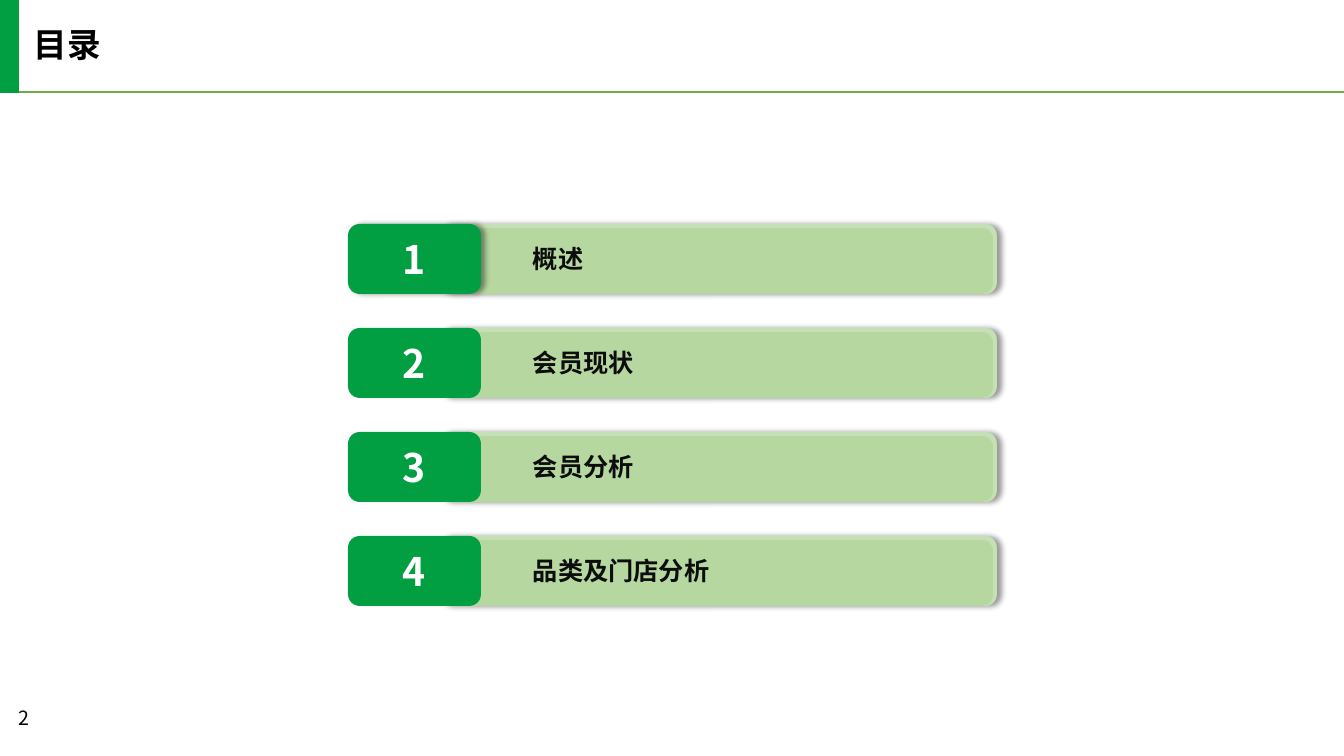
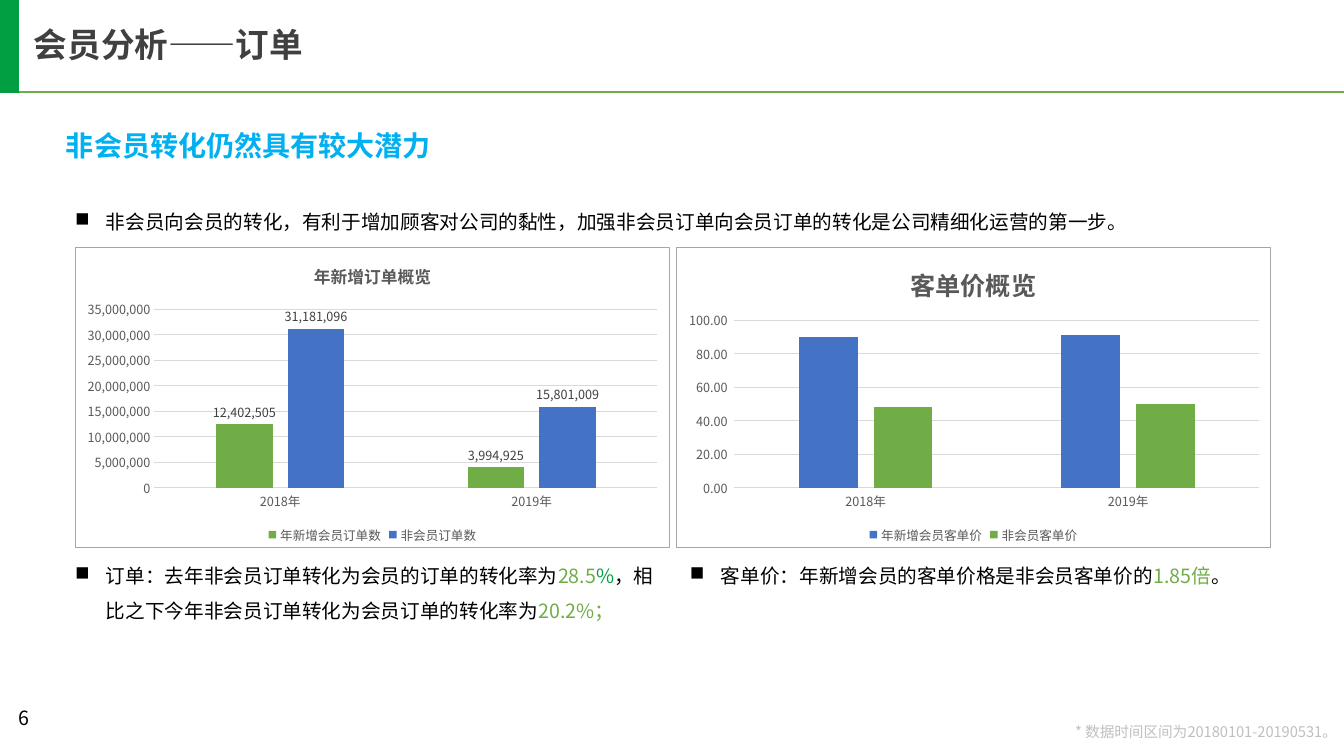
from lxml import etree
from pptx import Presentation, util as u
from pptx.chart import data as cd
from pptx.dml.color import RGBColor
from pptx.enum import chart as ce, shapes, text
from pptx.oxml import parse_xml
from pptx.oxml.ns import nsdecls, qn

PX = 914400 / 100.8
FONT = "Noto Sans CJK SC"
HUES = {
    "black": "000000", "ink": "0D0D0D", "dark": "404040", "gray": "595959",
    "edge": "A6A6A6", "note": "BFBFBF", "grid": "D9D9D9", "white": "FFFFFF",
    "brand": "029E42", "green": "70AD47", "pale": "C5E0B4", "leaf": "A9D18E",
    "sky": "00B0F0", "blue": "4472C4",
}
ROUND = shapes.MSO_SHAPE.ROUNDED_RECTANGLE
ALIGN = text.PP_ALIGN
MID = text.MSO_ANCHOR.MIDDLE


def px(n):
    return u.Emu(round(n * PX))


def rgb(hue):
    return RGBColor.from_string(HUES[hue])


def style(font, size, hue, bold=False):
    font.name = FONT
    font.size = u.Pt(size)
    font.bold = bold
    font.color.rgb = rgb(hue)


def paint(fill, hue):
    fill.solid()
    fill.fore_color.rgb = rgb(hue)


def asian(root):
    for latin in list(root.iter(qn("a:latin"))):
        face = etree.Element(qn("a:ea"), typeface=FONT)
        latin.addnext(face)


def write(frame, parts, size, bold=False, align=ALIGN.LEFT, space=None):
    para = frame.paragraphs[0]
    para.alignment = align
    if space:
        para.line_spacing = space
    for words, hue in parts:
        run = para.add_run()
        run.text = words
        style(run.font, size, hue, bold)
    asian(frame._txBody)
    return para


def label(page, box, parts, size, bold=False, align=ALIGN.LEFT, space=None,
          anchor=text.MSO_ANCHOR.TOP, wrap=True, pad=(0, 0)):
    frame = page.shapes.add_textbox(*map(px, box)).text_frame
    frame.word_wrap = wrap
    frame.vertical_anchor = anchor
    frame.margin_left = frame.margin_right = px(pad[0])
    frame.margin_top = frame.margin_bottom = px(pad[1])
    return write(frame, parts, size, bold, align, space)


def bullet(page, box, parts):
    para = label(page, box, parts, 14, space=1.5)
    props = para._p.get_or_add_pPr()
    props.set("marL", str(px(31)))
    props.set("indent", str(-px(31)))
    etree.SubElement(props, qn("a:buChar"), char="■")


def block(page, kind, box, hue, alpha=None, shade=False):
    shape = page.shapes.add_shape(kind, *map(px, box))
    shape.line.fill.background()
    paint(shape.fill, hue)
    shape.shadow.inherit = False
    props = shape.element.spPr
    if alpha:
        color = props.find(".//" + qn("a:srgbClr"))
        etree.SubElement(color, qn("a:alpha"), val=str(alpha * 1000))
    if shade:
        props.find(qn("a:effectLst")).append(parse_xml(
            f'<a:outerShdw {nsdecls("a")} blurRad="{u.Pt(4)}" dist="{u.Pt(3)}" '
            'dir="0" algn="l" rotWithShape="0"><a:srgbClr val="000000">'
            '<a:alpha val="40000"/></a:srgbClr></a:outerShdw>'))
    return shape


def base(deck, title, hue, number):
    page = deck.slides.add_slide(deck.slide_layouts[6])
    rule = page.shapes.add_connector(
        shapes.MSO_CONNECTOR.STRAIGHT, 0, px(92), px(1344), px(92))
    rule.line.color.rgb = rgb("green")
    rule.line.width = u.Pt(1.5)
    etree.SubElement(rule.element.spPr, qn("a:effectLst"))
    block(page, shapes.MSO_SHAPE.RECTANGLE, (0, -1, 19, 94), "brand")
    label(page, (34, 28, 634, 36), [(title, hue)], 24, True, space=0.9)
    label(page, (9, 701, 92, 40), [(str(number), "black")], 14, pad=(10, 5))
    return page


def entry(page, index, name):
    top = 224 + 104 * index
    block(page, ROUND, (438, top, 559, 70), "pale", shade=True)
    block(page, ROUND, (433, top + 4, 560, 66), "leaf", alpha=50)
    badge = block(page, ROUND, (348, top, 133, 70), "brand", shade=index == 0)
    badge.text_frame.vertical_anchor = MID
    write(badge.text_frame, [(str(index + 1), "white")], 28, True, ALIGN.CENTER)
    label(page, (533, top + 18, 275, 36), [(name, "ink")], 18, True,
          space=0.9, anchor=MID)


def place(chart, box, plot):
    area = chart.element.find(".//" + qn("c:plotArea"))
    for old in area.findall(qn("c:layout")):
        area.remove(old)
    left, top, wide, high = box
    rates = {"x": (plot[0] - left) / wide, "y": (plot[1] - top) / high,
             "w": plot[2] / wide, "h": plot[3] / high}
    sizes = "".join(f'<c:{key} val="{rate:.4f}"/>' for key, rate in rates.items())
    area.insert(0, parse_xml(
        f'<c:layout {nsdecls("c")}><c:manualLayout><c:layoutTarget val="inner"/>'
        f'<c:xMode val="edge"/><c:yMode val="edge"/>{sizes}'
        '</c:manualLayout></c:layout>'))


def border(chart):
    chart.element.find(qn("c:chart")).addnext(parse_xml(
        f'<c:spPr {nsdecls("c", "a")}><a:solidFill><a:srgbClr val="{HUES["white"]}"/>'
        f'</a:solidFill><a:ln w="{u.Pt(0.75)}"><a:solidFill>'
        f'<a:srgbClr val="{HUES["edge"]}"/></a:solidFill></a:ln></c:spPr>'))


def columns(page, box, plot, title, size, rows, top, step, form, marks=False):
    data = cd.CategoryChartData()
    data.categories = ["2018年", "2019年"]
    for name, values, _ in rows:
        data.add_series(name, values)
    chart = page.shapes.add_chart(
        ce.XL_CHART_TYPE.COLUMN_CLUSTERED, *map(px, box), data).chart
    style(chart.font, 10, "black")
    chart.has_title = True
    head = chart.chart_title.text_frame
    head.text = title
    style(head.paragraphs[0].runs[0].font, size, "gray", True)
    chart.has_legend = True
    chart.legend.position = ce.XL_LEGEND_POSITION.BOTTOM
    chart.legend.include_in_layout = False
    style(chart.legend.font, 9, "gray")

    for axis in (chart.category_axis, chart.value_axis):
        axis.major_tick_mark = axis.minor_tick_mark = ce.XL_TICK_MARK.NONE
        style(axis.tick_labels.font, 9, "gray")
    scale = chart.value_axis
    scale.minimum_scale, scale.maximum_scale, scale.major_unit = 0, top, step
    scale.tick_labels.number_format = form
    scale.tick_labels.number_format_is_linked = False
    scale.format.line.fill.background()
    for line in (chart.category_axis.format.line, scale.major_gridlines.format.line):
        line.color.rgb = rgb("grid")
        line.width = u.Pt(0.75)

    bars = chart.plots[0]
    bars.gap_width, bars.overlap, bars.vary_by_categories = 219, -27, False
    for series, (_, _, hue) in zip(bars.series, rows):
        paint(series.format.fill, hue)
        if marks:
            tags = series.data_labels
            tags.show_value = True
            tags.number_format = form
            tags.number_format_is_linked = False
            tags.position = ce.XL_LABEL_POSITION.OUTSIDE_END
            style(tags.font, 9, "dark")
    place(chart, box, plot)
    border(chart)
    asian(chart.element)


def agenda(deck):
    page = base(deck, "目录", "black", 2)
    for index, name in enumerate(["概述", "会员现状", "会员分析", "品类及门店分析"]):
        entry(page, index, name)


def orders(deck):
    page = base(deck, "会员分析——订单", "dark", 6)
    label(page, (66, 137, 1216, 25), [("非会员转化仍然具有较大潜力", "sky")], 20,
          True, space=u.Pt(18), anchor=MID)
    bullet(page, (75, 198, 1194, 40), [(
        "非会员向会员的转化，有利于增加顾客对公司的黏性，"
        "加强非会员订单向会员订单的转化是公司精细化运营的第一步。", "black")])
    bullet(page, (75, 552, 580, 77), [
        ("订单：去年非会员订单转化为会员的订单的转化率为", "black"),
        ("28.5", "green"), ("%", "brand"),
        ("，相比之下今年非会员订单转化为会员订单的转化率为", "black"),
        ("20.2%；", "green")])
    bullet(page, (690, 552, 562, 35), [
        ("客单价：年新增会员的客单价格是非会员客单价的", "black"),
        ("1.85倍", "green"), ("。", "black")])
    label(page, (1062, 725, 275, 16), [("* 数据时间区间为20180101-20190531。", "note")],
          10.5, align=ALIGN.RIGHT, space=0.9, wrap=False)
    columns(page, (75, 247, 595, 301), (154, 309, 504, 179), "年新增订单概览", 12,
            [("年新增会员订单数", (12402505, 3994925), "green"),
             ("非会员订单数", (31181096, 15801009), "blue")],
            35000000, 5000000, "#,##0", marks=True)
    columns(page, (676, 247, 595, 301), (734, 320, 526, 168), "客单价概览", 18,
            [("年新增会员客单价", (90, 91), "blue"),
             ("非会员客单价", (48, 50), "green")],
            100, 20, r"0.00_);[Red]\(0.00\)")


def main():
    deck = Presentation()
    deck.slide_width, deck.slide_height = px(1344), px(756)
    agenda(deck)
    orders(deck)
    deck.save("out.pptx")


main()
